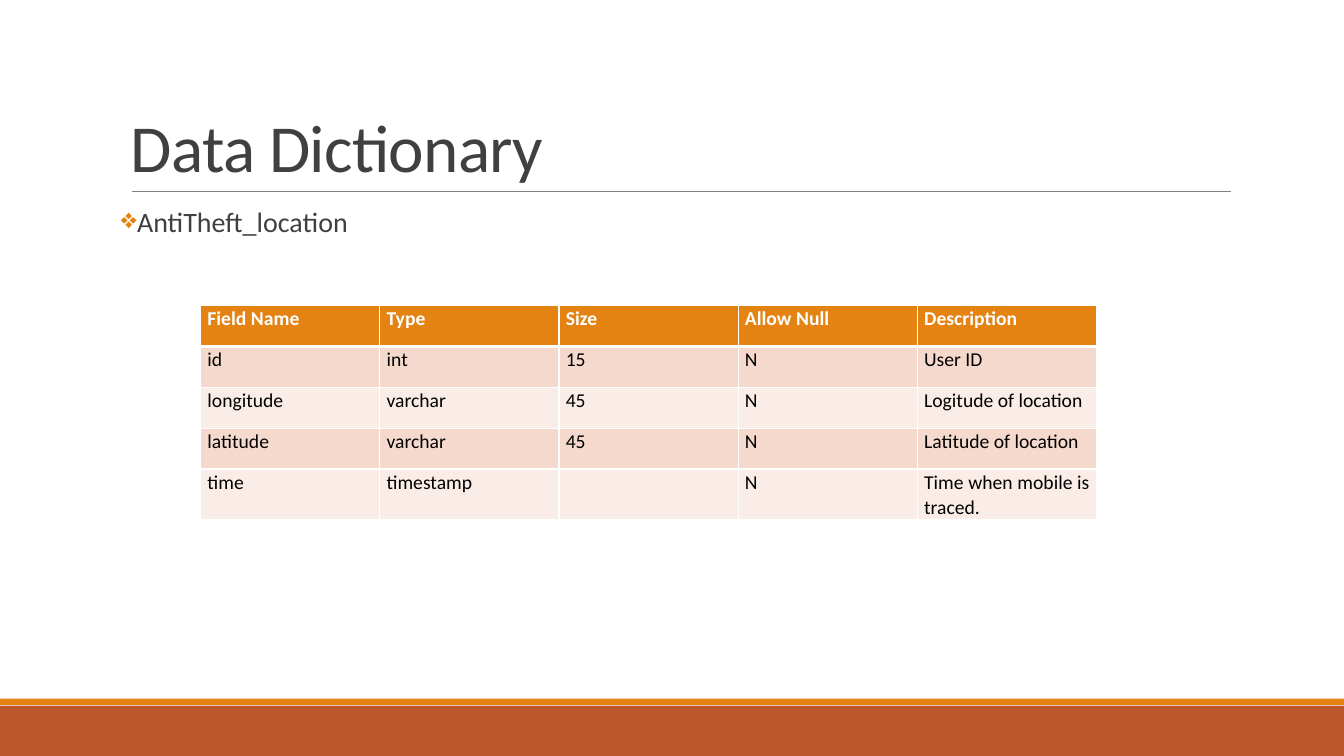
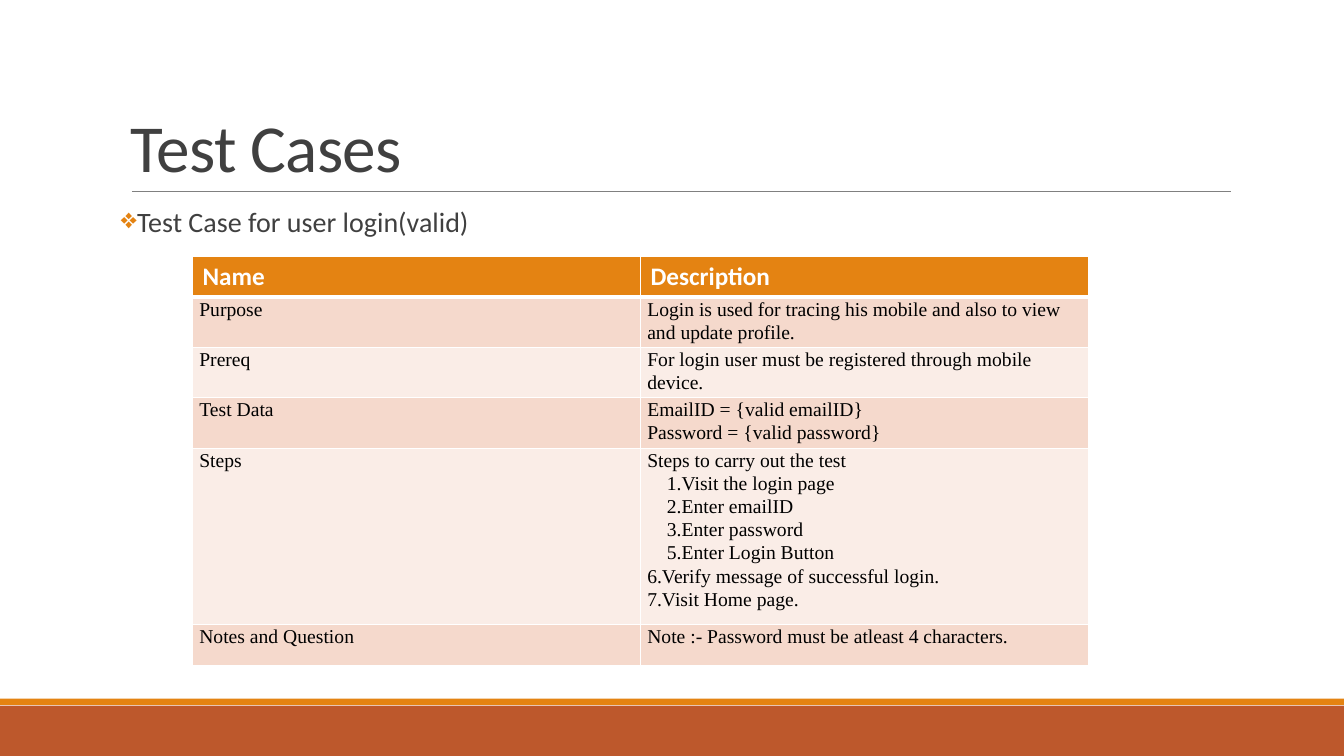
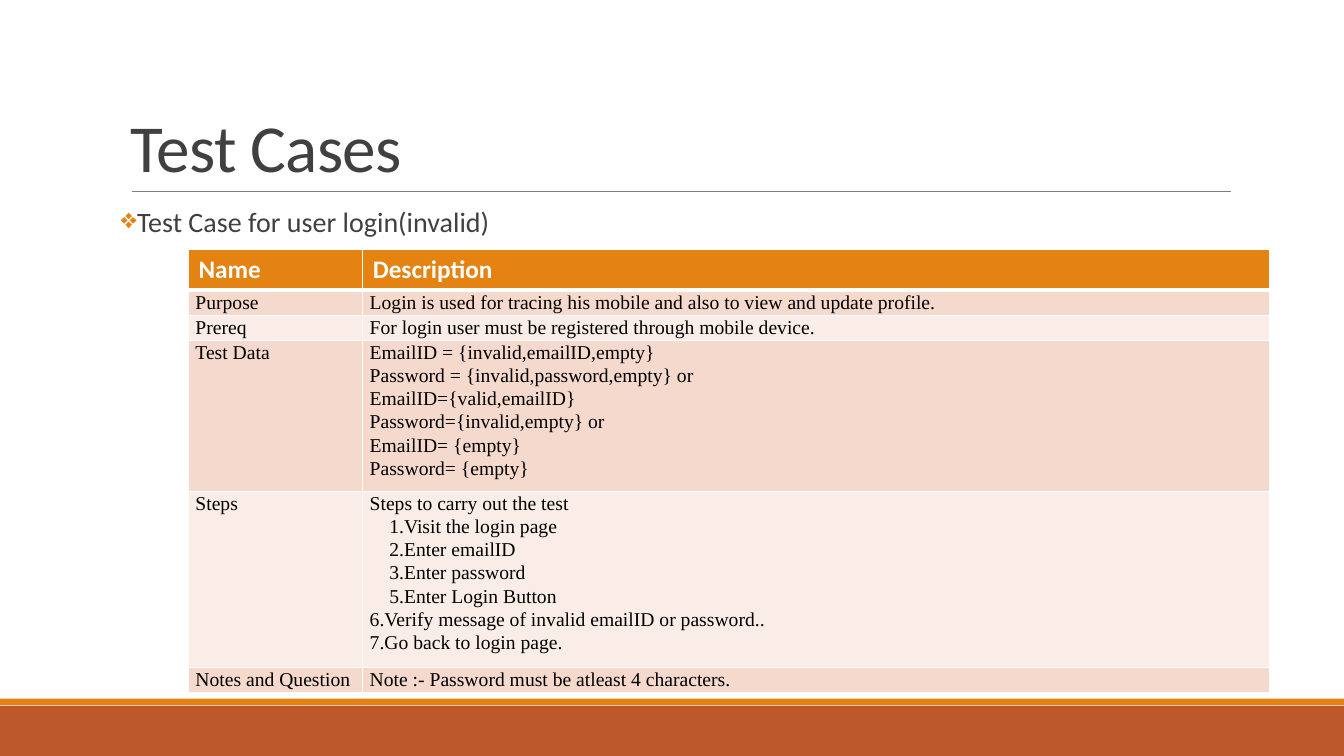
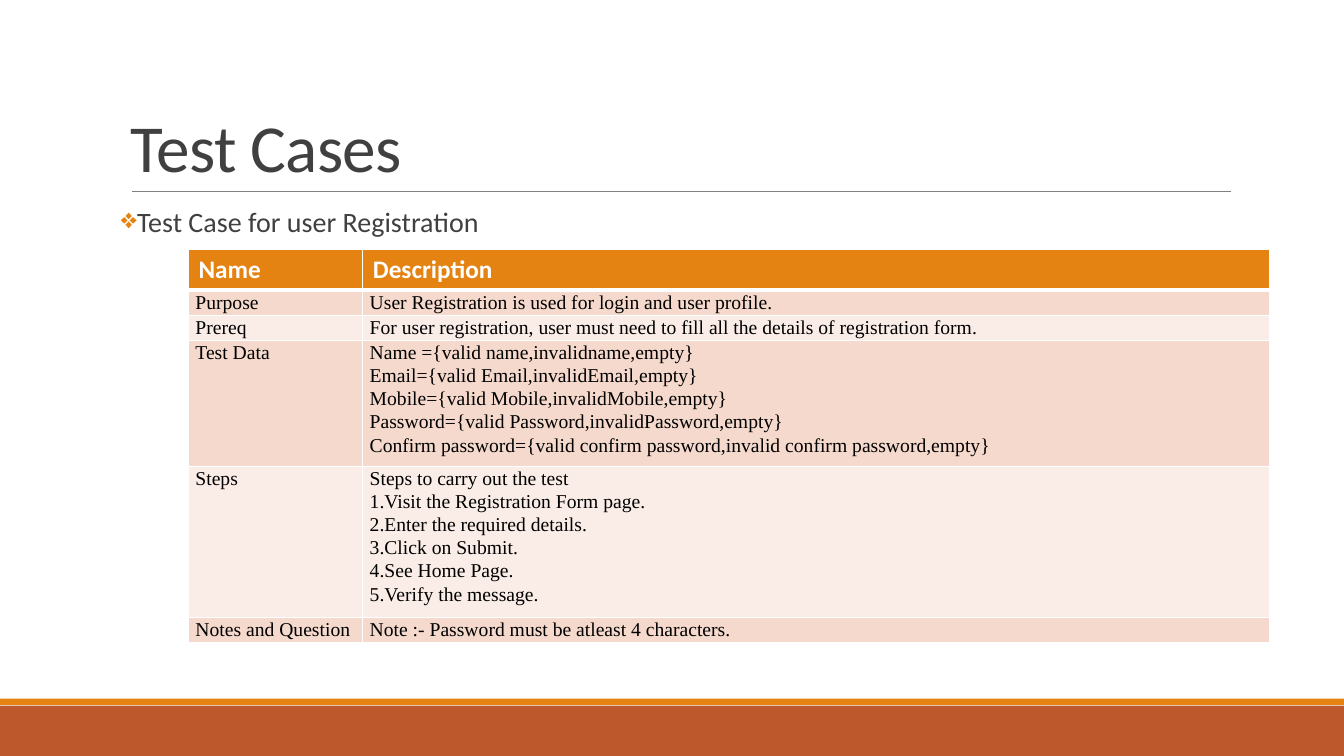
from lxml.etree import SubElement
from pptx import Presentation
from pptx.dml.color import RGBColor
from pptx.enum.shapes import MSO_CONNECTOR, MSO_SHAPE
from pptx.enum.text import MSO_ANCHOR, PP_ALIGN
from pptx.oxml.ns import qn
from pptx.util import Pt

HUES = {"orange": "E48312", "rust": "BD582C", "rule": "808080", "ink": "404040",
        "black": "000000", "white": "FFFFFF", "dark": "F5D9CC", "light": "FAEDE7"}
SANS, SERIF = "Calibri", "Times New Roman"
STEP = 14

HEAD = ["Name", "Description"]
NOTE = ["Notes and Question", "Note :- Password must be atleast 4 characters."]
LOGIN = [
    ["Purpose", "Login is used for tracing his mobile and also to view and update profile."],
    ["Prereq", "For login user must be registered through mobile device."],
]
STEPS = ["Steps to carry out the test", ">1.Visit the login page", ">2.Enter emailID",
         ">3.Enter password", ">5.Enter Login Button"]

PAGES = [
    {"title": "Data Dictionary", "topic": "AntiTheft_location",
     "at": (143.3, 218.2), "cols": [128] * 5, "heights": [29.2] * 5,
     "font": SANS, "align": PP_ALIGN.JUSTIFY, "tight": True,
     "rows": [
         ["Field Name", "Type", "Size", "Allow Null", "Description"],
         ["id", "int", "15", "N", "User ID"],
         ["longitude", "varchar", "45", "N", "Logitude of location"],
         ["latitude", "varchar", "45", "N", "Latitude of location"],
         ["time", "timestamp", "", "N", "Time when mobile is traced."]]},
    {"title": "Test Cases", "topic": "Test Case for user login(valid)",
     "at": (137.5, 183), "cols": [320] * 2, "heights": [29.2] * 6,
     "font": SERIF, "align": PP_ALIGN.LEFT, "tight": False,
     "rows": [
         HEAD, *LOGIN,
         ["Test Data", "EmailID = {valid emailID}\nPassword = {valid password}"],
         ["Steps", "\n".join(STEPS + ["6.Verify message of successful login.",
                                      "7.Visit Home page."])],
         NOTE]},
    {"title": "Test Cases", "topic": "Test Case for user login(invalid)",
     "at": (134.7, 178), "cols": [124.5, 648], "heights": [29.2] + [16] * 5,
     "font": SERIF, "align": PP_ALIGN.LEFT, "tight": False,
     "rows": [
         HEAD, *LOGIN,
         ["Test Data", "\n".join(["EmailID = {invalid,emailID,empty}",
                                  "Password = {invalid,password,empty} or",
                                  "EmailID={valid,emailID}",
                                  "Password={invalid,empty} or",
                                  "EmailID= {empty}",
                                  "Password= {empty}"])],
         ["Steps", "\n".join(STEPS + ["6.Verify message of invalid emailID or password..",
                                      "7.Go back to login page."])],
         NOTE]},
    {"title": "Test Cases", "topic": "Test Case for user Registration",
     "at": (134.7, 178), "cols": [124.5, 648], "heights": [29.2] + [16] * 5,
     "font": SERIF, "align": PP_ALIGN.LEFT, "tight": False,
     "rows": [
         HEAD,
         ["Purpose", "User Registration is used for login and user profile."],
         ["Prereq", "For user registration, user must need to fill all the details"
                    " of registration form."],
         ["Test Data", "\n".join(["Name ={valid name,invalidname,empty}",
                                  "Email={valid Email,invalidEmail,empty}",
                                  "Mobile={valid Mobile,invalidMobile,empty}",
                                  "Password={valid Password,invalidPassword,empty}",
                                  "Confirm password={valid confirm password,"
                                  "invalid confirm password,empty}"])],
         ["Steps", "\n".join([STEPS[0], "1.Visit the Registration Form page.",
                              "2.Enter the required details.", "3.Click on Submit.",
                              "4.See Home Page.", "5.Verify the message."])],
         NOTE]},
]


def style(para, name, size, hue, bold=False):
    for run in para.runs:
        run.font.name = name
        run.font.size = Pt(size)
        run.font.bold = bold
        run.font.color.rgb = RGBColor.from_string(HUES[hue])


def edge(cell, side, width):
    line = SubElement(cell._tc.get_or_add_tcPr(), qn("a:" + side), w=str(Pt(width)))
    SubElement(SubElement(line, qn("a:solidFill")), qn("a:srgbClr"), val=HUES["white"])


deck = Presentation()
deck.slide_width, deck.slide_height = Pt(960), Pt(540)

for page in PAGES:
    slide = deck.slides.add_slide(deck.slide_layouts[6])
    shapes = slide.shapes

    for top, high, hue in [(504, 36, "rust"), (499, 4.6, "orange")]:
        band = shapes.add_shape(MSO_SHAPE.RECTANGLE, 0, Pt(top), Pt(960), Pt(high))
        band.shadow.inherit = False
        band.fill.solid()
        band.fill.fore_color.rgb = RGBColor.from_string(HUES[hue])
        band.line.fill.background()

    rule = shapes.add_connector(MSO_CONNECTOR.STRAIGHT, Pt(94.3), Pt(136.8), Pt(879), Pt(136.8))
    rule.line.width = Pt(0.5)
    rule.line.color.rgb = RGBColor.from_string(HUES["rule"])
    SubElement(rule._element.spPr, qn("a:effectLst"))

    frame = shapes.add_textbox(Pt(86.4), Pt(22.5), Pt(792), Pt(114.3)).text_frame
    frame.word_wrap = True
    frame.vertical_anchor = MSO_ANCHOR.BOTTOM
    frame.text = page["title"]
    para = frame.paragraphs[0]
    para.line_spacing = 0.85
    style(para, SANS, 48, "ink")
    para.runs[0].font._element.set("spc", "-50")

    frame = shapes.add_textbox(Pt(86.4), Pt(145.4), Pt(792), Pt(30)).text_frame
    frame.word_wrap = True
    frame.margin_left = frame.margin_right = 0
    frame.text = page["topic"]
    para = frame.paragraphs[0]
    para.line_spacing = 0.9
    style(para, SANS, 20, "ink")
    props = para._p.get_or_add_pPr()
    props.set("marL", str(Pt(7.2)))
    props.set("indent", str(Pt(-7.2)))
    tint = SubElement(props, qn("a:buClr"))
    SubElement(tint, qn("a:srgbClr"), val=HUES["orange"])
    SubElement(props, qn("a:buChar"), char="❖")

    rows, cols, highs = page["rows"], page["cols"], page["heights"]
    left, top = page["at"]
    table = shapes.add_table(len(rows), len(cols), Pt(left), Pt(top),
                             Pt(sum(cols)), Pt(sum(highs))).table
    table.horz_banding = False
    for col, wide in zip(table.columns, cols):
        col.width = Pt(wide)
    for i, row in enumerate(rows):
        table.rows[i].height = Pt(highs[i])
        head = i == 0
        tight = page["tight"] or not head
        for j, text in enumerate(row):
            cell = table.cell(i, j)
            edge(cell, "lnL", 1)
            edge(cell, "lnR", 1)
            edge(cell, "lnT", 3 if i == 1 else 1)
            edge(cell, "lnB", 3 if head else 1)
            cell.fill.solid()
            fill = "orange" if head else "dark" if i % 2 else "light"
            cell.fill.fore_color.rgb = RGBColor.from_string(HUES[fill])
            if tight:
                cell.margin_left = cell.margin_right = Pt(4.9)
                cell.margin_top = cell.margin_bottom = 0
            cell.text_frame.text = text
            for para in cell.text_frame.paragraphs:
                if para.text.startswith(">"):
                    para.text = para.text[1:]
                    para._p.get_or_add_pPr().set("marL", str(Pt(STEP)))
                para.alignment = page["align"]
                if tight:
                    para.line_spacing = 1.07
                style(para, SANS if head else page["font"], 14 if tight else 18,
                      "white" if head else "black", head)

deck.save("out.pptx")
